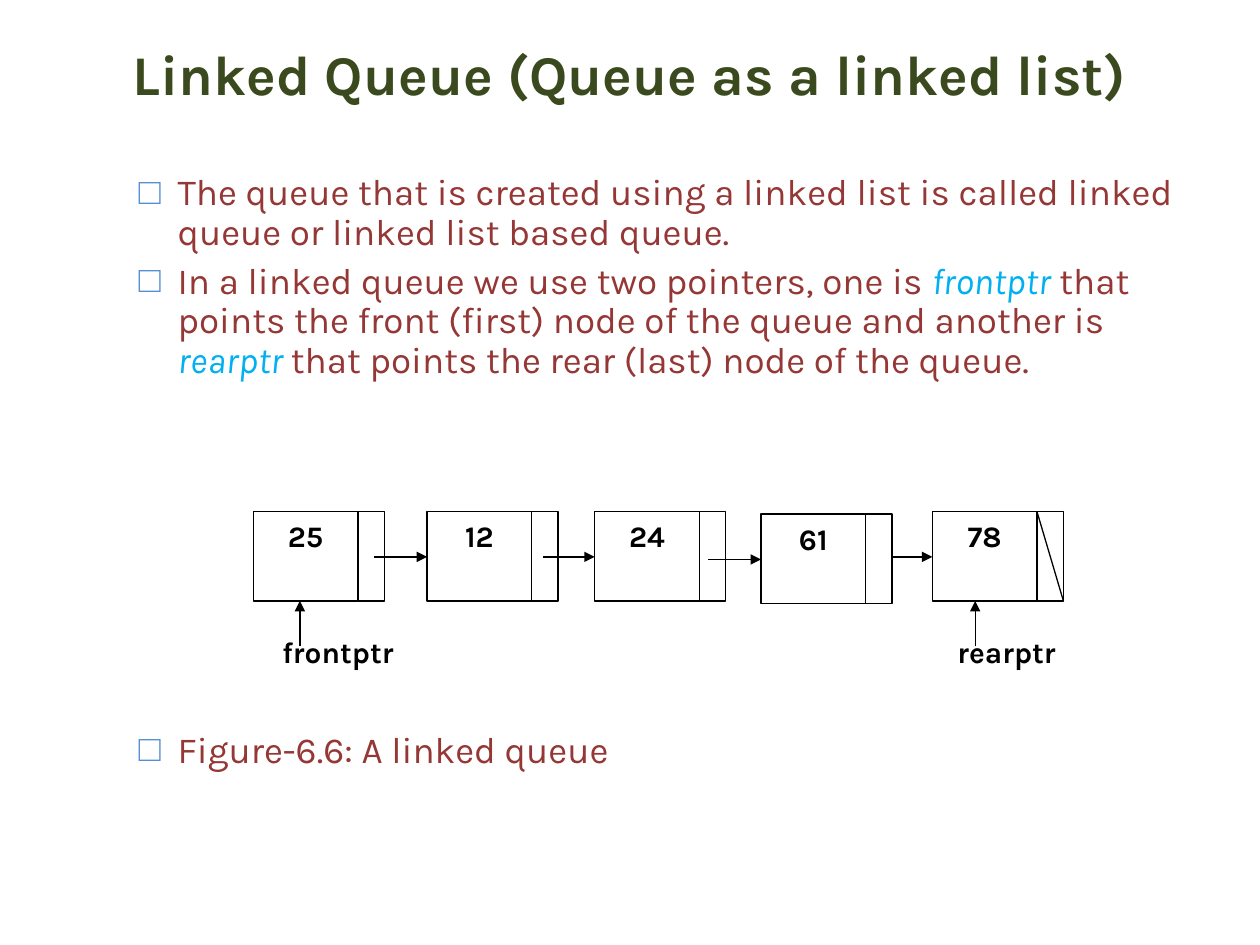
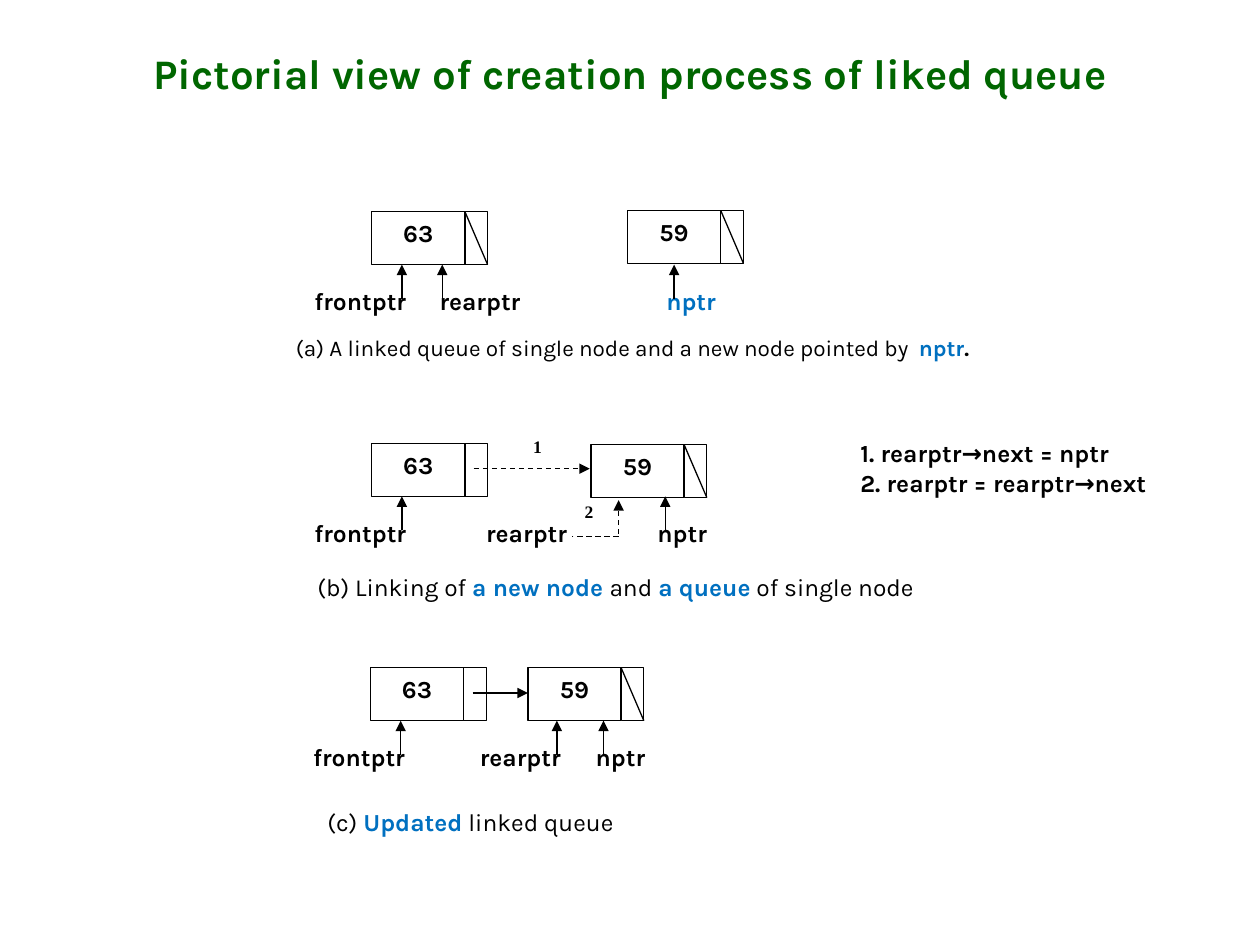
from dataclasses import dataclass, field
from typing import Optional

import pptx
import pptx.dml.color
import pptx.enum.dml
import pptx.enum.shapes
import pptx.enum.text
import pptx.oxml
import pptx.oxml.ns
import pptx.util
from pptx.util import Inches

RGB = pptx.dml.color.RGBColor
ALIGN = pptx.enum.text.PP_ALIGN
ANCHOR = pptx.enum.text.MSO_ANCHOR


@dataclass(frozen=True)
class Theme:
    font: str = "Karla"
    step_font: str = "Times New Roman"
    bullet_font: str = "Arial"
    ink: RGB = RGB(0, 0, 0)
    paper: RGB = RGB(255, 255, 255)
    olive: RGB = RGB.from_string("3B4A1E")
    green: RGB = RGB.from_string("006600")
    body: RGB = RGB.from_string("953735")
    pointer: RGB = RGB.from_string("00B0F0")
    accent: RGB = RGB.from_string("0070C0")
    bullet: str = "558ED5"
    title: float = 32
    small_title: float = 24
    list: float = 21
    big_node: float = 17
    diagram: float = 14
    narrow_caption: float = 12.9
    step: float = 10
    line: float = 0.75


T = Theme()


@dataclass(frozen=True)
class Span:
    text: str
    color: RGB = T.ink
    bold: bool = False
    italic: bool = False


@dataclass(frozen=True)
class NodeStyle:
    data_width: float
    link_width: float
    height: float
    size: float


@dataclass(frozen=True)
class Node:
    value: str
    left: float
    last: bool = False
    drop: float = 0


@dataclass(frozen=True)
class Pointer:
    name: str
    left: float
    width: float
    tip: Optional[float]
    color: RGB = T.ink


@dataclass(frozen=True)
class Arrow:
    x1: float
    y1: float
    x2: float
    y2: float
    dashed: bool = False
    head: bool = True


@dataclass(frozen=True)
class Caption:
    left: float
    top: float
    width: float
    spans: list[Span]
    size: float = T.diagram


@dataclass(frozen=True)
class Stage:
    top: float
    nodes: list[Node]
    pointers: list[Pointer]
    caption: Caption
    arrows: list[Arrow] = field(default_factory=list)


BIG = NodeStyle(0.83, 0.21, 0.71, T.big_node)
SMALL = NodeStyle(0.74, 0.18, 0.42, T.diagram)


def write(p, spans: list[Span], size: float, font: str = T.font) -> None:
    for span in spans:
        r = p.add_run()
        r.text = span.text
        r.font.name = font
        r.font.size = pptx.util.Pt(size)
        r.font.bold = span.bold
        r.font.italic = span.italic
        r.font.color.rgb = span.color


def place(sp, left: float, top: float, width: float, height: float) -> None:
    sp.left, sp.top = Inches(left), Inches(top)
    sp.width, sp.height = Inches(width), Inches(height)


def draw_title(s, text: str, size: float, color: RGB) -> None:
    sp = s.shapes.title
    place(sp, 0.5, 0.08, 9, 1)
    tf = sp.text_frame
    tf.auto_size = pptx.enum.text.MSO_AUTO_SIZE.NONE
    tf.vertical_anchor = ANCHOR.MIDDLE
    p = tf.paragraphs[0]
    p.alignment = ALIGN.CENTER
    write(p, [Span(text, color, True)], size)


def add_bullet(p) -> None:
    pPr = p._p.get_or_add_pPr()
    pPr.set("marL", str(Inches(0.81)))
    pPr.set("indent", str(Inches(-0.31)))
    ns = pptx.oxml.ns.nsdecls("a")
    for xml in (
        f'<a:buClr {ns}><a:srgbClr val="{T.bullet}"/></a:buClr>',
        f'<a:buFont {ns} typeface="{T.bullet_font}"/>',
        f'<a:buChar {ns} char="□"/>',
    ):
        pPr.append(pptx.oxml.parse_xml(xml))


def draw_list(sp, items: list[list[Span]], gaps: list[float]) -> None:
    place(sp, 0.5, 1.33, 9, 5.5)
    tf = sp.text_frame
    tf.auto_size = pptx.enum.text.MSO_AUTO_SIZE.NONE
    for i, (spans, gap) in enumerate(zip(items, gaps)):
        p = tf.add_paragraph() if i else tf.paragraphs[0]
        p.level = 1
        p.line_spacing = 0.9
        p.space_before = pptx.util.Pt(gap)
        add_bullet(p)
        write(p, spans, T.list)


def draw_text(s, left: float, top: float, width: float, lines: list[list[Span]], size: float,
              font: str = T.font, align: ALIGN = ALIGN.LEFT) -> None:
    sp = s.shapes.add_textbox(Inches(left), Inches(top), Inches(width), Inches(0.43 * len(lines)))
    tf = sp.text_frame
    tf.word_wrap = True
    for i, spans in enumerate(lines):
        p = tf.add_paragraph() if i else tf.paragraphs[0]
        p.alignment = align
        write(p, spans, size, font)


def draw_arrow(s, a: Arrow) -> None:
    sp = s.shapes.add_connector(pptx.enum.shapes.MSO_CONNECTOR.STRAIGHT,
                                Inches(a.x1), Inches(a.y1), Inches(a.x2), Inches(a.y2))
    sp.line.color.rgb = T.ink
    sp.line.width = pptx.util.Pt(T.line)
    if a.dashed:
        sp.line.dash_style = pptx.enum.dml.MSO_LINE.DASH
    ns = pptx.oxml.ns.nsdecls("a")
    if a.head:
        sp.line._get_or_add_ln().append(pptx.oxml.parse_xml(f'<a:tailEnd {ns} type="triangle"/>'))
    sp._element.spPr.append(pptx.oxml.parse_xml(f"<a:effectLst {ns}/>"))


def draw_cell(s, left: float, top: float, width: float, height: float):
    sp = s.shapes.add_shape(pptx.enum.shapes.MSO_SHAPE.RECTANGLE,
                            Inches(left), Inches(top), Inches(width), Inches(height))
    sp.shadow.inherit = False
    sp.fill.solid()
    sp.fill.fore_color.rgb = T.paper
    sp.line.color.rgb = T.ink
    sp.line.width = pptx.util.Pt(T.line)
    return sp


def draw_node(s, node: Node, row: float, style: NodeStyle) -> None:
    top = row + node.drop
    link = node.left + style.data_width
    tf = draw_cell(s, node.left, top, style.data_width, style.height).text_frame
    tf.vertical_anchor = ANCHOR.TOP
    p = tf.paragraphs[0]
    p.alignment = ALIGN.CENTER
    write(p, [Span(node.value, bold=True)], style.size)
    draw_cell(s, link, top, style.link_width, style.height)
    if node.last:
        draw_arrow(s, Arrow(link, top, link + style.link_width, top + style.height, head=False))


def draw_pointer(s, pointer: Pointer, row: float, style: NodeStyle, label_drop: float,
                 length: float, align: ALIGN) -> None:
    draw_text(s, pointer.left, row + label_drop, pointer.width,
              [[Span(pointer.name, pointer.color, True)]], style.size, align=align)
    if pointer.tip is not None:
        tip_y = row + style.height
        draw_arrow(s, Arrow(pointer.tip, tip_y + length, pointer.tip, tip_y))


def draw_stage(s, stage: Stage) -> None:
    for node in stage.nodes:
        draw_node(s, node, stage.top, SMALL)
    for pointer in stage.pointers:
        draw_pointer(s, pointer, stage.top, SMALL, 0.54, 0.27, ALIGN.CENTER)
    for arrow in stage.arrows:
        draw_arrow(s, arrow)
    c = stage.caption
    draw_text(s, c.left, c.top, c.width, [c.spans], c.size)


def build_linked_queue(prs) -> None:
    s = prs.slides.add_slide(prs.slide_layouts[1])
    draw_title(s, "Linked Queue (Queue as a linked list)", T.title, T.olive)
    draw_list(s.placeholders[1], [
        [Span("The queue that is created using a linked list is called linked "
              "queue or linked list based queue.", T.body)],
        [Span("In a linked queue we use two pointers, one is ", T.body),
         Span("frontptr", T.pointer, italic=True),
         Span(" that points the front (first) node of the queue and another is ", T.body),
         Span("rearptr ", T.pointer, italic=True),
         Span("that points the rear (last) node of the queue.", T.body)],
        [Span("Figure-6.6: A linked queue", T.body)],
    ], [0, 5.2, 200])
    row = 4.06
    for node in (Node("25", 2.01), Node("12", 3.39), Node("24", 4.72),
                 Node("61", 6.04, drop=0.02), Node("78", 7.4, last=True)):
        draw_node(s, node, row, BIG)
    for x1, x2, y in ((2.97, 3.39, 4.42), (4.31, 4.72, 4.42), (5.62, 6.04, 4.44), (7.07, 7.4, 4.42)):
        draw_arrow(s, Arrow(x1, y, x2, y))
    for pointer in (Pointer("frontptr", 2.14, 1.25, 2.38), Pointer("rearptr", 7.5, 1.25, 7.74)):
        draw_pointer(s, pointer, row, BIG, 0.92, 0.36, ALIGN.LEFT)


def build_creation_process(prs) -> None:
    s = prs.slides.add_slide(prs.slide_layouts[5])
    draw_title(s, "Pictorial view of creation process of liked queue", T.small_title, T.green)
    stages = [
        Stage(1.68, [Node("63", 2.95, last=True), Node("59", 4.98, last=True, drop=-0.01)],
              [Pointer("frontptr", 2.31, 1.1, 3.19), Pointer("rearptr", 3.26, 1.1, 3.51),
               Pointer("nptr", 5.12, 0.73, 5.35, T.accent)],
              Caption(2.25, 2.6, 6.17, [
                  Span("(a) A linked queue of single node and a new node pointed by  "),
                  Span("nptr", T.accent, True), Span(".", bold=True)], T.narrow_caption)),
        Stage(3.52, [Node("63", 2.95), Node("59", 4.69, last=True, drop=0.01)],
              [Pointer("frontptr", 2.31, 1.1, 3.19), Pointer("rearptr", 3.63, 1.1, None),
               Pointer("nptr", 5.05, 0.73, 5.28)],
              Caption(2.42, 4.49, 5.58, [
                  Span("(b) Linking of "), Span("a new node ", T.accent, True), Span("and "),
                  Span("a queue", T.accent, True), Span(" of single node")]),
              [Arrow(3.76, 3.72, 4.68, 3.72, dashed=True),
               Arrow(4.91, 4.26, 4.54, 4.26, dashed=True, head=False),
               Arrow(4.91, 4.24, 4.91, 3.97, dashed=True)]),
        Stage(5.3, [Node("63", 2.94), Node("59", 4.19, last=True)],
              [Pointer("frontptr", 2.3, 1.1, 3.18), Pointer("rearptr", 3.58, 1.1, 4.42),
               Pointer("nptr", 4.56, 0.73, 4.79)],
              Caption(2.5, 6.36, 3.31, [
                  Span("(c) "), Span("Updated", T.accent, True), Span(" linked queue")]),
              [Arrow(3.75, 5.5, 4.19, 5.5)]),
    ]
    for stage in stages:
        draw_stage(s, stage)
    for step, left, top in (("1", 3.99, 3.41), ("2", 4.4, 3.93)):
        draw_text(s, left, top, 0.55, [[Span(step, bold=True)]], T.step, T.step_font, ALIGN.CENTER)
    draw_text(s, 6.73, 3.43, 2.76, [
        [Span("1. rearptr→next = nptr", bold=True)],
        [Span("2. rearptr = rearptr→next", bold=True)],
    ], T.diagram)


def main() -> None:
    prs = pptx.Presentation()
    prs.slide_width, prs.slide_height = Inches(10), Inches(7.5)
    build_linked_queue(prs)
    build_creation_process(prs)
    prs.save("out.pptx")


if __name__ == "__main__":
    main()
